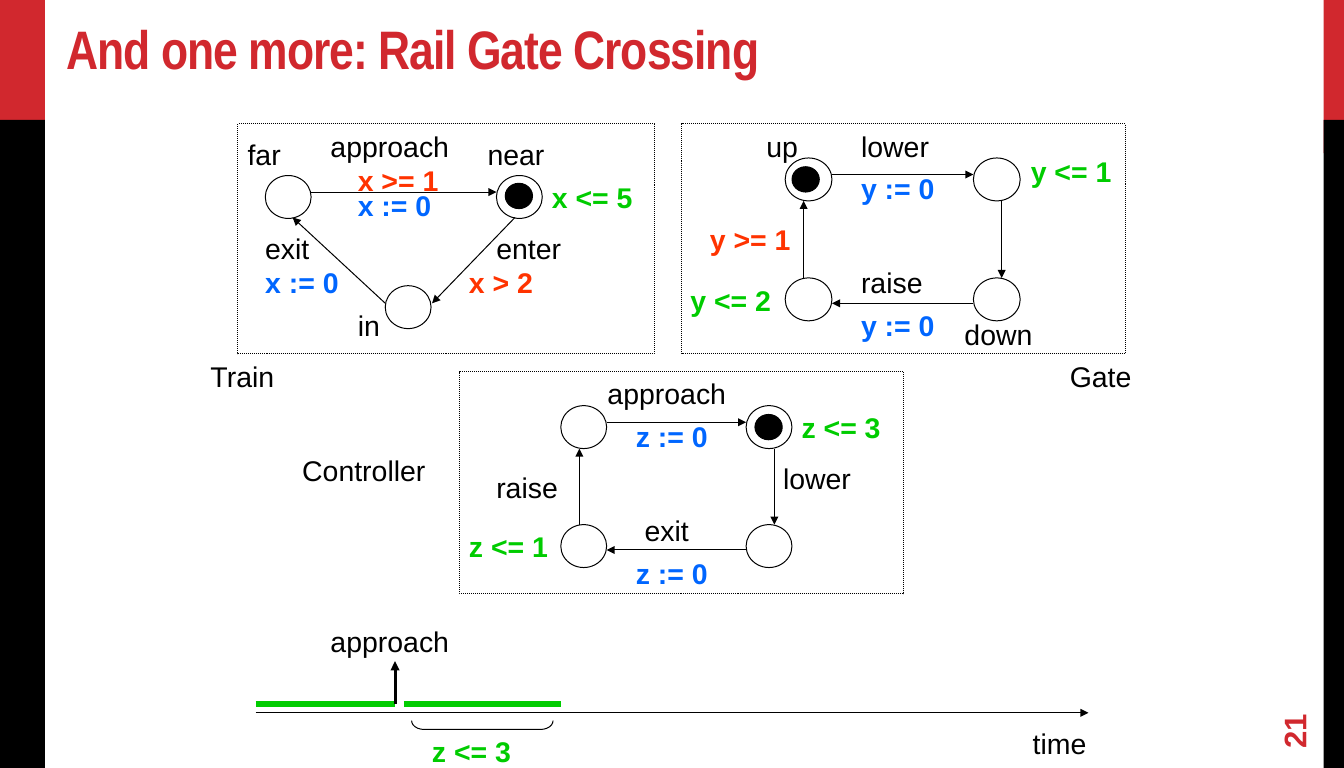
from lxml import etree
from pptx import Presentation
from pptx import util as u
from pptx.dml.color import RGBColor
from pptx.enum import dml, shapes, text
from pptx.oxml.ns import qn

PX = 9144  # EMU per px: 100 px to the inch
SLIDE_W, SLIDE_H = u.Emu(12600000), u.Emu(7200900)
RED = RGBColor(0xD1, 0x28, 0x2E)
BLACK = RGBColor(0, 0, 0)
GUARD = RGBColor(0xFF, 0x33, 0x00)
RESET = RGBColor(0x00, 0x66, 0xFF)
INVARIANT = RGBColor(0x00, 0xCC, 0x00)
NODE_W, NODE_H = 47, 44
LABEL_H = 45
WIDTHS = {
    "far": 55, "near": 79, "in": 43, "exit": 66, "enter": 87, "up": 53,
    "down": 90, "lower": 90, "raise": 84, "approach": 143, "time": 76,
    "Train": 86, "Gate": 84, "Controller": 147,
    "x := 0": 96, "y := 0": 96, "z := 0": 95, "x > 2": 86, "x >= 1": 104,
    "y >= 1": 104, "x <= 5": 104, "y <= 1": 104, "y <= 2": 104,
    "z <= 1": 102, "z <= 3": 102,
}


def px(*lengths):
    return [u.Emu(n * PX) for n in lengths]


def add_shape(s, kind, x, y, w, h, fill=None, line=BLACK):
    sp = s.shapes.add_shape(kind, *px(x, y, w, h))
    sp.shadow.inherit = False
    if fill is None:
        sp.fill.background()
    else:
        sp.fill.solid()
        sp.fill.fore_color.rgb = fill
    if line is None:
        sp.line.fill.background()
    else:
        sp.line.color.rgb = line
        sp.line.width = u.Pt(0.75)
    return sp


def add_line(s, x1, y1, x2, y2, color=BLACK, width=0.75, arrow=True):
    c = s.shapes.add_connector(shapes.MSO_CONNECTOR.STRAIGHT, *px(x1, y1, x2, y2))
    c.line.color.rgb = color
    c.line.width = u.Pt(width)
    if arrow:
        etree.SubElement(c.line._get_or_add_ln(), qn("a:tailEnd"), type="triangle")
    etree.SubElement(c._element.spPr, qn("a:effectLst"))


def label_color(words):
    for operator, color in ((":=", RESET), ("<=", INVARIANT), (">", GUARD)):
        if operator in words:
            return color
    return BLACK


def add_labels(s, x, y, labels):
    for words, dx, dy in labels:
        tb = s.shapes.add_textbox(*px(x + dx, y + dy, WIDTHS[words], LABEL_H))
        tf = tb.text_frame
        tf.word_wrap = False
        tf.auto_size = text.MSO_AUTO_SIZE.SHAPE_TO_FIT_TEXT
        p = tf.paragraphs[0]
        p.text = words
        p.font.name, p.font.size = "Arial", u.Pt(21)
        p.font.color.rgb = label_color(words)
        p.font.bold = p.font.color.rgb != BLACK


def add_frame(s, x, y, w, h):
    sp = add_shape(s, shapes.MSO_SHAPE.RECTANGLE, x, y, w, h)
    sp.line.dash_style = dml.MSO_LINE.ROUND_DOT


def add_node(s, x, y, w=NODE_W):
    add_shape(s, shapes.MSO_SHAPE.OVAL, x, y, w, NODE_H)


def add_token(s, x, y):
    add_shape(s, shapes.MSO_SHAPE.OVAL, x, y, 28, 26, BLACK)


def side_bars(s, w, h):
    for x, bar_w in ((w - 21, 21), (0, 46)):
        add_shape(s, shapes.MSO_SHAPE.RECTANGLE, x, 0, bar_w, 157, RED, None)
        add_shape(s, shapes.MSO_SHAPE.RECTANGLE, x, 123, bar_w, h - 123, BLACK, None)


def format_heading(tf, words, font, size, anchor):
    tf.margin_left = tf.margin_right = u.Inches(0.11)
    tf.margin_top = tf.margin_bottom = u.Inches(0.06)
    tf.vertical_anchor = anchor
    tf.auto_size = text.MSO_AUTO_SIZE.NONE
    tf.word_wrap = True
    p = tf.paragraphs[0]
    p.text = words
    p.alignment = text.PP_ALIGN.LEFT
    p.font.name, p.font.size, p.font.bold = font, u.Pt(size), True
    p.font.color.rgb = RED
    return p


def title(s, x, y, w, h):
    sp = s.shapes.title
    sp.left, sp.top, sp.width, sp.height = px(x, y, w, h)
    p = format_heading(sp.text_frame, "And one more: Rail Gate Crossing",
                       "Arial Narrow", 40, text.MSO_ANCHOR.BOTTOM)
    p.runs[0]._r.get_or_add_rPr().set("spc", "-70")


def page_number(s, x, y, w, h):
    tb = s.shapes.add_textbox(*px(x, y, w, h))
    tb.rotation = 270
    format_heading(tb.text_frame, "21", "Arial", 23, text.MSO_ANCHOR.MIDDLE)


def train(s, x, y, w, h):
    add_frame(s, x, y, w, h)
    for dx, dy in ((28, 53), (151, 166), (265, 53)):
        add_node(s, x + dx, y + dy)
    add_token(s, x + 274, y + 61)
    for x1, y1, x2, y2 in ((75, 70, 265, 70), (284, 96, 199, 184), (151, 184, 56, 96)):
        add_line(s, x + x1, y + y1, x + x2, y + y2)
    add_labels(s, x, y, [
        ("far", 0, 9), ("near", 246, 9), ("in", 113, 184),
        ("approach", 85, 0), ("x >= 1", 113, 35), ("x := 0", 113, 61),
        ("x <= 5", 312, 53), ("enter", 255, 105), ("x > 2", 227, 140),
        ("exit", 18, 105), ("x := 0", 18, 140), ("Train", -38, 236),
    ])


def ring(s, x, y, w, h, node_x, node_w, step_x, step_y, token, labels):
    """Four nodes joined clockwise inside a dotted frame."""
    add_frame(s, x, y, w, h)
    left, top = x + node_x, y + 35
    right, bottom = left + step_x, top + step_y
    for column in (left, right):
        for row in (top, bottom):
            add_node(s, column, row, node_w)
    add_token(s, x + token[0], y + token[1])
    add_line(s, left + node_w, top + 17, right, top + 17)
    add_line(s, right + 29, top + NODE_H, right + 29, bottom)
    add_line(s, right, bottom + 26, left + node_w, bottom + 26)
    add_line(s, left + 19, bottom, left + 19, top + NODE_H)
    add_labels(s, x, y, labels)


def timeline(s, x, y, w, h):
    axis = y + 96
    bar = axis - 9
    add_line(s, x, bar, x + 143, bar, INVARIANT, 4.5, arrow=False)
    add_line(s, x + 152, bar, x + 313, bar, INVARIANT, 4.5, arrow=False)
    add_line(s, x + 143, bar, x + 143, bar - 44, BLACK, 2.25)
    add_line(s, x, axis, x + w, axis)
    bracket = add_shape(s, shapes.MSO_SHAPE.LEFT_BRACKET, x + 228, y + 36, 9, 145)
    bracket.rotation = 270
    bracket.adjustments[0] = 1.417
    add_labels(s, x, y, [("approach", 67, 0), ("z <= 3", 171, 113), ("time", 787, 105)])


def main():
    prs = Presentation()
    prs.slide_width, prs.slide_height = SLIDE_W, SLIDE_H
    s = prs.slides.add_slide(prs.slide_layouts[5])
    side_bars(s, 1378, 788)
    title(s, 57, 18, 1286, 70)
    page_number(s, 1286, 721, 81, 34)
    train(s, 244, 127, 427, 236)
    # Gate
    ring(s, 699, 127, 455, 236, 106, 48, 193, 123, (113, 44), [
        ("up", 77, 0), ("lower", 174, 0), ("y := 0", 174, 44),
        ("y <= 1", 348, 26), ("down", 280, 193), ("raise", 174, 140),
        ("y := 0", 174, 184), ("y <= 2", -1, 158), ("y >= 1", 19, 96),
        ("Gate", 388, 236),
    ])
    # Controller
    ring(s, 471, 381, 455, 228, 104, NODE_W, 190, 122, (303, 44), [
        ("approach", 142, 0), ("z := 0", 171, 44), ("z <= 3", 341, 35),
        ("lower", 322, 87), ("exit", 180, 140), ("z := 0", 171, 184),
        ("z <= 1", 0, 157), ("raise", 28, 96), ("Controller", -171, 79),
    ])
    timeline(s, 262, 635, 854, 153)
    prs.save("out.pptx")


if __name__ == "__main__":
    main()
